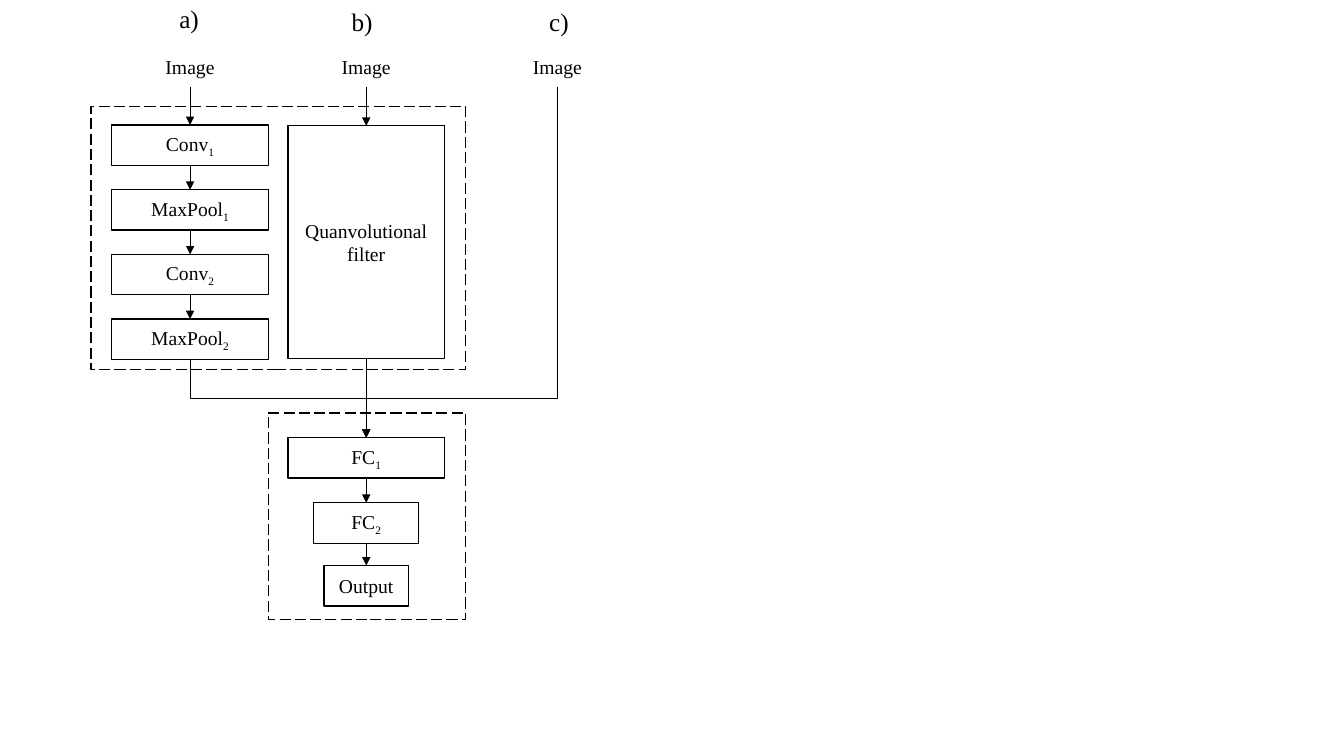
from lxml import etree
from pptx import Presentation
from pptx.dml.color import RGBColor
from pptx.enum import dml, shapes, text
from pptx.oxml.ns import qn
from pptx.util import Cm, Pt

# Content: lengths in cm
THEME = dict(font="Times New Roman", ink=RGBColor(0, 0, 0), body=Pt(14),
             heading=Pt(18), outline=Pt(1), arrow=Pt(0.5))
PAGE = (33.87, 19.05)
CENTRES = dict(a=4.79, b=9.23, c=14.05)
BOX_WIDTH, BOX_HEIGHT = 3.95, 1.02
IMAGE_TOP, CONV_TOP, CONV_PITCH, MERGE_Y = 1.17, 3.15, 1.63, 10.03

HEADINGS = [("a)", 4.27, -0.05, 1.14), ("b)", 8.61, 0.03, 1.24), ("c)", 13.59, 0.03, 1.73)]
CONV_LAYERS = [("Conv", "1"), ("MaxPool", "1"), ("Conv", "2"), ("MaxPool", "2")]
QUANVOLUTION = ("Quanvolutional filter", "", 3.17, BOX_WIDTH, 5.87)
DENSE_LAYERS = [  # name, subscript, top, width, height
    ("FC", "1", 11.03, BOX_WIDTH, BOX_HEIGHT),
    ("FC", "2", 12.67, 2.65, BOX_HEIGHT),
    ("Output", "", 14.25, 2.12, BOX_HEIGHT),
]
FRAMES = [(2.29, 2.69, 9.45, 6.63), (6.76, 10.41, 4.98, 5.21)]

deck = Presentation()
deck.slide_width, deck.slide_height = map(Cm, PAGE)
page = deck.slides.add_slide(deck.slide_layouts[6])


def apply(target, **values):
    for name, value in values.items():
        setattr(target, name, value)


def write(box, words, size, subscript="", align=text.PP_ALIGN.CENTER):
    para = box.text_frame.paragraphs[0]
    para.alignment = align
    for part in filter(None, (words, subscript)):
        span = para.add_run()
        span.text = part
        apply(span.font, name=THEME["font"], size=size)
        span.font.color.rgb = THEME["ink"]
    if subscript:
        span.font._element.set("baseline", "-25000")


def add_outline(left, top, width, height, dash=None):
    box = page.shapes.add_shape(shapes.MSO_SHAPE.RECTANGLE,
                                *map(Cm, (left, top, width, height)))
    box.shadow.inherit = False
    box.fill.background()
    box.line.color.rgb = THEME["ink"]
    apply(box.line, width=THEME["outline"], dash_style=dash)
    return box


def add_layer(centre, words, subscript, top, width, height):
    box = add_outline(centre - width / 2, top, width, height)
    apply(box.text_frame, word_wrap=True, vertical_anchor=text.MSO_ANCHOR.MIDDLE)
    write(box, words, THEME["body"], subscript)
    return box


def style_arrow(line):
    line.line.color.rgb = THEME["ink"]
    line.line.width = THEME["arrow"]
    etree.SubElement(line.line._get_or_add_ln(), qn("a:tailEnd"), type="triangle")
    etree.SubElement(line._element.spPr, qn("a:effectLst"))


def add_arrow(upper, lower):
    line = page.shapes.add_connector(shapes.MSO_CONNECTOR.STRAIGHT, 0, 0, 0, 0)
    line.begin_connect(upper, 2)
    line.end_connect(lower, 0)
    style_arrow(line)


def add_elbow(upper, lower):
    """Route down, across at MERGE_Y and down again."""
    start_x, end_x = (box.left + box.width // 2 for box in (upper, lower))
    start_y, end_y = upper.top + upper.height, lower.top
    drop, shift = end_y - start_y, abs(end_x - start_x)
    left = (start_x + end_x - drop) // 2
    top = (start_y + end_y - shift) // 2
    ends = (left, left + drop)
    rightward = end_x > start_x
    begin, end = ends[::-1] if rightward else ends
    line = page.shapes.add_connector(shapes.MSO_CONNECTOR.ELBOW,
                                     begin, top, end, top + shift)
    properties = line._element.spPr
    properties.find(qn("a:xfrm")).set("rot", str((270 if rightward else 90) * 60000))
    geometry = properties.find(qn("a:prstGeom"))
    guides = geometry.find(qn("a:avLst"))
    if guides is None:
        guides = etree.SubElement(geometry, qn("a:avLst"))
    bend = round((Cm(MERGE_Y) - start_y) / drop * 100000)
    etree.SubElement(guides, qn("a:gd"), name="adj1", fmla=f"val {bend}")
    style_arrow(line)


# Column headings and inputs
for words, left, top, width in HEADINGS:
    box = page.shapes.add_textbox(*map(Cm, (left, top, width, BOX_HEIGHT)))
    apply(box.text_frame, word_wrap=True, auto_size=text.MSO_AUTO_SIZE.SHAPE_TO_FIT_TEXT)
    write(box, words, THEME["heading"], align=text.PP_ALIGN.LEFT)

images = {}
for column, centre in CENTRES.items():
    box = page.shapes.add_textbox(*map(Cm, (centre - BOX_WIDTH / 2, IMAGE_TOP,
                                            BOX_WIDTH, BOX_HEIGHT)))
    apply(box.text_frame, word_wrap=True, vertical_anchor=text.MSO_ANCHOR.MIDDLE)
    write(box, "Image", THEME["body"])
    images[column] = box

# Layers
conv = [add_layer(CENTRES["a"], *layer, CONV_TOP + row * CONV_PITCH, BOX_WIDTH, BOX_HEIGHT)
        for row, layer in enumerate(CONV_LAYERS)]
quanvolution = add_layer(CENTRES["b"], *QUANVOLUTION)
dense = [add_layer(CENTRES["b"], *layer) for layer in DENSE_LAYERS]

# Arrows down each chain, then the side branches
for chain in ([images["a"], *conv], [images["b"], quanvolution, *dense]):
    for upper, lower in zip(chain, chain[1:]):
        add_arrow(upper, lower)
for source in (conv[-1], images["c"]):
    add_elbow(source, dense[0])

# Dashed group frames
for frame in FRAMES:
    add_outline(*frame, dash=dml.MSO_LINE.LONG_DASH)

deck.save("out.pptx")
